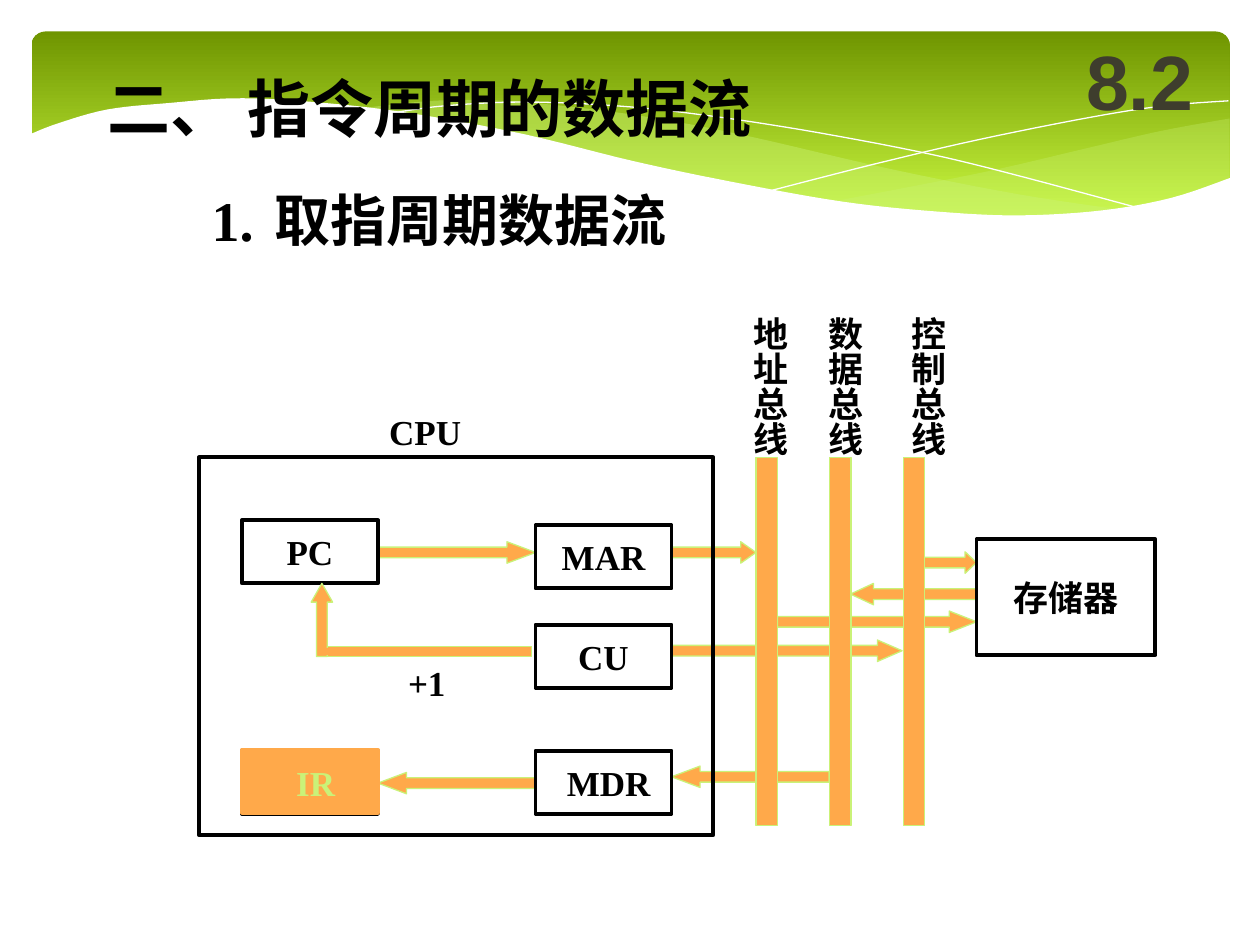
from dataclasses import dataclass
from lxml.etree import SubElement
from pptx import Presentation
from pptx.dml.color import RGBColor
from pptx.enum.shapes import MSO_SHAPE
from pptx.enum.text import MSO_ANCHOR, MSO_AUTO_SIZE, PP_ALIGN
from pptx.oxml.ns import qn
from pptx.util import Inches, Pt


@dataclass(frozen=True)
class Theme:
    black: str = "000000"
    white: str = "FFFFFF"
    orange: str = "FFA94A"
    lime: str = "CAF278"
    band_top: str = "6F9500"
    band_bottom: str = "D0FF44"
    number: str = "3E3D2D"
    serif: str = "Times New Roman"
    sans: str = "Arial"
    title: int = 36
    subtitle: int = 32
    section: int = 44
    label: int = 20
    frame: float = 2.25
    edge: float = 0.75


T = Theme()


@dataclass(frozen=True)
class Box:
    x: float
    y: float
    w: float
    h: float

    def inner(self, dx, dy, w, h):
        return Box(self.x + dx, self.y + dy, w, h)

    def lengths(self):
        return [Inches(v) for v in (self.x, self.y, self.w, self.h)]


def rgb(value):
    return RGBColor.from_string(value)


def write(sp, text, size=T.label, color=T.black, font=T.serif,
          align=PP_ALIGN.CENTER, anchor=MSO_ANCHOR.MIDDLE, wrap=False):
    tf = sp.text_frame
    tf.auto_size, tf.word_wrap, tf.vertical_anchor = MSO_AUTO_SIZE.NONE, wrap, anchor
    p = tf.paragraphs[0]
    p.alignment, p.space_before = align, Pt(0)
    r = p.add_run()
    r.text = text
    r.font.name, r.font.size, r.font.bold = font, Pt(size), True
    r.font.color.rgb = rgb(color)
    return tf


def paint(sp, fill=None, line=None, width=T.edge):
    sp.shadow.inherit = False
    if fill:
        sp.fill.solid()
        sp.fill.fore_color.rgb = rgb(fill)
    else:
        sp.fill.background()
    if line:
        sp.line.color.rgb = rgb(line)
        sp.line.width = Pt(width)
    else:
        sp.line.fill.background()
    return sp


def shape(s, box, fill=T.orange, line=T.lime, width=T.edge, kind=MSO_SHAPE.RECTANGLE):
    return paint(s.shapes.add_shape(kind, *box.lengths()), fill, line, width)


def framed(s, box, text=None):
    sp = shape(s, box, None, T.black, T.frame)
    if text:
        write(sp, text)
    return sp


def arrow(s, box, head, left=False, kind=MSO_SHAPE.RIGHT_ARROW):
    sp = shape(s, box, kind=kind)
    sp.adjustments[1] = head
    sp.rotation = 180 if left else 0


def label(s, box, text, **style):
    sp = s.shapes.add_textbox(*box.lengths())
    style = {"align": PP_ALIGN.LEFT, "anchor": MSO_ANCHOR.TOP} | style
    return write(sp, text, **style)


def smooth(knots, steps=6):
    """Catmull-Rom curve through the knots."""
    ends = [knots[0], *knots, knots[-1]]
    points = [knots[0]]
    for a, b, c, d in zip(ends, ends[1:], ends[2:], ends[3:]):
        for t in (i / steps for i in range(1, steps + 1)):
            points.append(tuple(
                (2 * q + (u - p) * t + (2 * p - 5 * q + 4 * u - v) * t ** 2
                 + (3 * q - p - 3 * u + v) * t ** 3) / 2
                for p, q, u, v in zip(a, b, c, d)))
    return points


def outline(s, box, points, fill=None, line=None, alpha=None):
    spots = [(Inches(box.x + x), Inches(box.y + y)) for x, y in points]
    fb = s.shapes.build_freeform(*spots[0])
    fb.add_line_segments(spots[1:], close=fill is not None)
    sp = paint(fb.convert_to_shape(), fill, line, 0)
    if alpha:
        color = sp.element.spPr.find(qn("a:solidFill"))[0]
        SubElement(color, qn("a:alpha"), val=str(alpha * 1000))


def wave_band(s, box):
    # Green band
    sp = shape(s, box, line=None, kind=MSO_SHAPE.ROUNDED_RECTANGLE)
    sp.adjustments[0] = 0.071
    sp.fill.gradient()
    sp.fill.gradient_angle = 270
    for stop, color, at in zip(sp.fill.gradient_stops, (T.band_top, T.band_bottom), (0, 1)):
        stop.color.rgb, stop.position = rgb(color), at
    # Translucent swells
    right_swell = (smooth([(9.51, 0.69), (8.96, 0.79), (8.36, 0.93), (7.54, 1.12), (6.36, 1.35)])
                   + smooth([(6.36, 1.35), (7.07, 1.43), (7.67, 1.47), (8.29, 1.45),
                             (8.8, 1.38), (9.24, 1.27), (9.51, 1.16)]))
    long_swell = (smooth([(8.68, 1.42), (7.82, 1.29), (6.81, 1.09), (5.73, 0.84), (5.02, 0.7),
                          (4.39, 0.61), (3.74, 0.55), (3.19, 0.55), (2.61, 0.61)])
                  + smooth([(2.61, 0.61), (3.37, 0.72), (4.24, 0.91), (5.41, 1.18), (6.25, 1.33),
                            (6.97, 1.43), (7.6, 1.47), (8.13, 1.47), (8.68, 1.42)]))
    outline(s, box, right_swell, T.lime, alpha=29)
    outline(s, box, long_swell, T.lime, alpha=40)
    # Fine white lines
    for knots in ([(2.84, 0.65), (3.28, 0.59), (3.91, 0.56), (4.64, 0.59), (5.31, 0.66),
                   (6.11, 0.78), (7.02, 0.95), (7.7, 1.11), (8.82, 1.41)],
                  [(5.88, 1.26), (6.7, 1.05), (7.51, 0.86), (8.41, 0.68), (8.99, 0.59), (9.5, 0.55)]):
        outline(s, box, smooth(knots), line=T.white)
    # White lower edge
    edge = smooth([(9.52, 1.16), (9.05, 1.32), (8.5, 1.42), (7.84, 1.46), (7.19, 1.43),
                   (6.43, 1.35), (5.54, 1.19), (4.78, 1.03), (3.93, 0.82), (3.14, 0.67),
                   (2.46, 0.58), (1.68, 0.53), (1.07, 0.57), (0.6, 0.62), (0.21, 0.73), (-0.02, 0.82)])
    outline(s, box, edge + [(-0.02, 1.99), (9.52, 1.99)], T.white)


def headings(s, box):
    title, body = s.placeholders
    for sp, area in ((title, box.inner(0, 0, 6.25, 0.7)), (body, box.inner(0.83, 0.92, 6.25, 0.64))):
        s.shapes.element.append(sp.element)  # in front of the band
        sp.left, sp.top, sp.width, sp.height = area.lengths()
    # Body: no bullet, one tab stop after the number
    pPr = body.text_frame.paragraphs[0]._p.get_or_add_pPr()
    pPr.set("marL", "0")
    pPr.set("indent", "0")
    SubElement(pPr, qn("a:buNone"))
    tabs = SubElement(pPr, qn("a:tabLst"))
    SubElement(tabs, qn("a:tab"), pos=str(Inches(0.67)), algn="l")
    style = {"align": PP_ALIGN.LEFT, "anchor": MSO_ANCHOR.TOP, "wrap": True}
    write(title, "二、 指令周期的数据流", T.title, **style)
    write(body, "1.\t取指周期数据流", T.subtitle, **style)


def section_number(s, box):
    label(s, box, "8.2", size=T.section, color=T.number, font=T.sans,
          align=PP_ALIGN.CENTER, anchor=MSO_ANCHOR.MIDDLE, wrap=True)


def data_flow(s, box):
    # x, y, length, head, pointing left
    for x, y, length, head, left in (
            (1.42, 2.5, 1.25, 1.33, True), (1.42, 0.67, 1.25, 1.33, False),
            (3.75, 0.67, 0.67, 0.71, False), (3.75, 2.45, 1.25, 1.33, True),
            (3.75, 1.45, 1.83, 1.15, False), (4.59, 1.22, 1.58, 1.27, False),
            (5.17, 1, 1, 1.07, True), (5.67, 0.75, 0.5, 0.53, False)):
        arrow(s, box.inner(x, y, length, 0.17), head, left)


def cpu(s, box):
    framed(s, box)
    label(s, box.inner(1.41, -0.42, 0.77, 0.44), "CPU")
    # Registers and control unit
    for name, x, y in (("PC", 0.34, 0.5), ("MAR", 2.67, 0.54), ("CU", 2.67, 1.33)):
        framed(s, box.inner(x, y, 1.08, 0.5), name)
    mdr = framed(s, box.inner(2.67, 2.33, 1.08, 0.5), "MDR")
    mdr.text_frame.margin_left = Inches(0.18)
    # Highlighted instruction register
    framed(s, box.inner(0.34, 2.33, 1.08, 0.5))
    shape(s, box.inner(0.34, 2.32, 1.08, 0.5), line=T.orange, width=T.frame)
    ir = shape(s, box.inner(0.67, 2.36, 0.51, 0.44), line=T.orange)
    write(ir, "IR", color=T.lime)
    # Increment route from CU up to PC
    shape(s, box.inner(0.97, 1.5, 1.67, 0.08))
    arrow(s, box.inner(0.89, 1, 0.17, 0.58), 0.875, kind=MSO_SHAPE.UP_ARROW)
    shape(s, box.inner(1, 1.52, 0.06, 0.04), line=T.orange)
    label(s, box.inner(1.56, 1.57, 1.75, 0.44), "+1", wrap=True)


def buses(s, box):
    for i, (name, dx) in enumerate((("地址总线", -0.2), ("数据总线", 0.39), ("控制总线", 1.05))):
        shape(s, box.inner(i * (box.w - 0.17) / 2, 0, 0.17, box.h))
        tf = label(s, box.inner(dx, -1.22, 0.53, 1.22), name)
        tf.margin_left = tf.margin_right = Inches(0.05)
        tf.margin_top = tf.margin_bottom = Inches(0.1)
        tf._txBody.bodyPr.set("vert", "eaVert")


def main():
    prs = Presentation()
    prs.slide_width, prs.slide_height = Inches(10), Inches(7.5)
    s = prs.slides.add_slide(prs.slide_layouts[1])
    wave_band(s, Box(0.25, 0.25, 9.51, 1.56))
    headings(s, Box(0.75, 0.5, 7.08, 1.56))
    data_flow(s, Box(1.58, 3.63, 7.59, 3))
    cpu(s, Box(1.58, 3.63, 4.08, 3))
    buses(s, Box(6, 3.63, 1.34, 2.92))
    framed(s, Box(7.75, 4.28, 1.42, 0.92), "存储器")
    section_number(s, Box(8.42, 0.17, 1.25, 0.92))
    prs.save("out.pptx")


if __name__ == "__main__":
    main()
